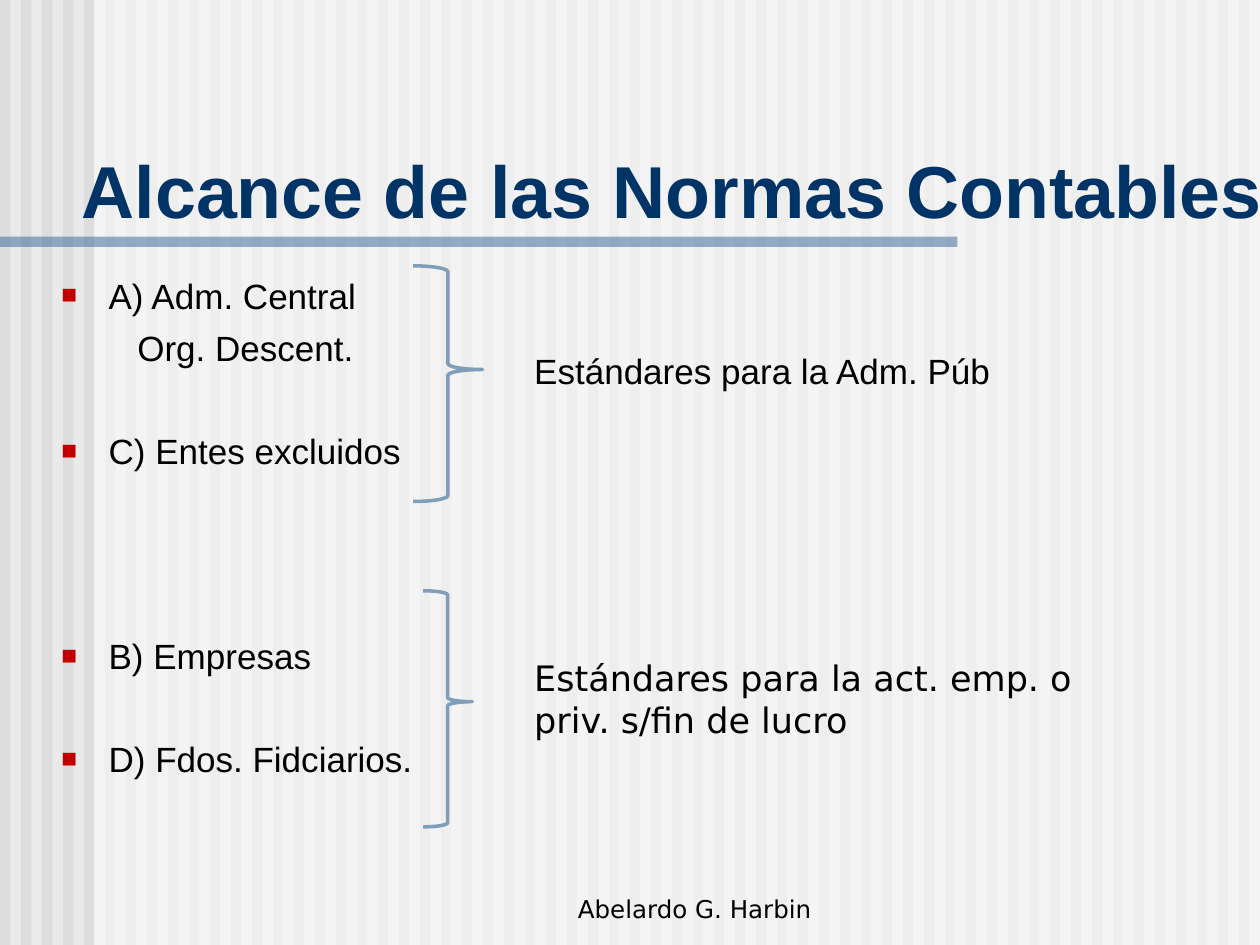
from lxml import etree
from pptx import Presentation
from pptx.dml.color import RGBColor
from pptx.enum.shapes import MSO_SHAPE
from pptx.enum.text import MSO_ANCHOR, PP_ALIGN
from pptx.oxml.ns import qn
from pptx.util import Cm, Pt

RECTANGLE = MSO_SHAPE.RECTANGLE
RIGHT_BRACE = MSO_SHAPE.RIGHT_BRACE
TOP, BOTTOM = MSO_ANCHOR.TOP, MSO_ANCHOR.BOTTOM
LEFT, CENTER = PP_ALIGN.LEFT, PP_ALIGN.CENTER

COLORS = {
    "background": "EAEAEA",
    "stripe": "DDDDDD",
    "veil": "FFFFFF",
    "rule": "336699",
    "title": "003366",
    "text": "000000",
    "bullet": "C00000",
    "brace": "809EBA",
}
WIDTH, HEIGHT = 25.4, 19.05
STRIPES = 60
LINE_PITCH = 29
LINE_GAP = 6

ITEMS = [
    ("A) Adm. Central", True, 0),
    ("Org. Descent.", False, 1),
    ("C) Entes excluidos", True, 2),
    ("B) Empresas", True, 4),
    ("D) Fdos. Fidciarios.", True, 2),
]


def color(name):
    return RGBColor.from_string(COLORS[name])


def add_bar(page, box, fill, opacity=100):
    bar = page.shapes.add_shape(RECTANGLE, *map(Cm, box))
    bar.shadow.inherit = False
    bar.fill.solid()
    bar.fill.fore_color.rgb = color(fill)
    bar.line.fill.background()
    if opacity < 100:
        tint = bar.fill._xPr.find(".//" + qn("a:srgbClr"))
        etree.SubElement(tint, qn("a:alpha"), val=str(opacity * 1000))


def add_backdrop(page, box):
    left, top, width, height = box
    page.background.fill.solid()
    page.background.fill.fore_color.rgb = color("background")
    pitch = width / STRIPES
    for index in range(STRIPES):
        add_bar(page, (left + index * pitch, top, pitch / 2, height), "stripe")
    margin = 1.9
    add_bar(page, (left + margin, top, width - margin, height), "veil", 50)
    add_bar(page, (left, top + 4.77, 19.3, 0.21), "rule", 50)


def style_paragraph(para, size, font="Arial", fill="text", bold=False):
    for span in para.runs:
        span.font.size = Pt(size)
        span.font.name = font
        span.font.bold = bold
        span.font.color.rgb = color(fill)


def add_frame(page, box, anchor=TOP):
    frame = page.shapes.add_textbox(*map(Cm, box)).text_frame
    frame.word_wrap = True
    frame.vertical_anchor = anchor
    return frame


def add_text(page, box, text, size, anchor=TOP, align=LEFT, **style):
    frame = add_frame(page, box, anchor)
    frame.text = text
    para = frame.paragraphs[0]
    para.alignment = align
    style_paragraph(para, size, **style)


def indent_item(para, bulleted):
    properties = para._p.get_or_add_pPr()
    margin, hanging = (0.95, -0.95) if bulleted else (1.53, 0)
    properties.set("marL", str(Cm(margin)))
    properties.set("indent", str(Cm(hanging)))
    if bulleted:
        bullet_color = etree.SubElement(properties, qn("a:buClr"))
        etree.SubElement(bullet_color, qn("a:srgbClr"), val=COLORS["bullet"])
        etree.SubElement(properties, qn("a:buSzPct"), val="75000")
        etree.SubElement(properties, qn("a:buFont"), typeface="Arial")
        etree.SubElement(properties, qn("a:buChar"), char="■")
    else:
        etree.SubElement(properties, qn("a:buNone"))


def add_scope_list(page, box):
    frame = add_frame(page, box)
    for index, (text, bulleted, lines_down) in enumerate(ITEMS):
        para = frame.add_paragraph() if index else frame.paragraphs[0]
        para.text = text
        indent_item(para, bulleted)
        if lines_down:
            para.space_before = Pt(LINE_GAP + (lines_down - 1) * LINE_PITCH)
        style_paragraph(para, 20)


def add_brace(page, box, middle):
    brace = page.shapes.add_shape(RIGHT_BRACE, *map(Cm, box))
    brace.shadow.inherit = False
    brace.adjustments[1] = middle
    brace.fill.background()
    brace.line.color.rgb = color("brace")
    brace.line.width = Pt(2)


def main():
    deck = Presentation()
    deck.slide_width, deck.slide_height = Cm(WIDTH), Cm(HEIGHT)
    page = deck.slides.add_slide(deck.slide_layouts[6])
    add_backdrop(page, (0, 0, WIDTH, HEIGHT))
    add_text(page, (1.4, 2.72, 24.61, 2.11), "Alcance de las Normas Contables",
             42, anchor=BOTTOM, fill="title", bold=True)
    add_scope_list(page, (0.99, 5.4, 8.53, 12.57))
    add_text(page, (9.98, 17.48, 8.05, 1.27), "Abelardo G. Harbin",
             14, anchor=BOTTOM, align=CENTER, font="DejaVu Sans")
    add_brace(page, (8.33, 5.36, 1.4, 4.75), 0.44)
    add_brace(page, (8.53, 11.91, 0.99, 4.76), 0.47)
    add_text(page, (10.52, 13.11, 11.91, 1.96),
             "Estándares para la act. emp. o priv. s/fin de lucro",
             20, font="DejaVu Sans")
    add_text(page, (10.52, 6.93, 12.5, 1.12), "Estándares para la Adm. Púb", 20)
    deck.save("out.pptx")


if __name__ == "__main__":
    main()
